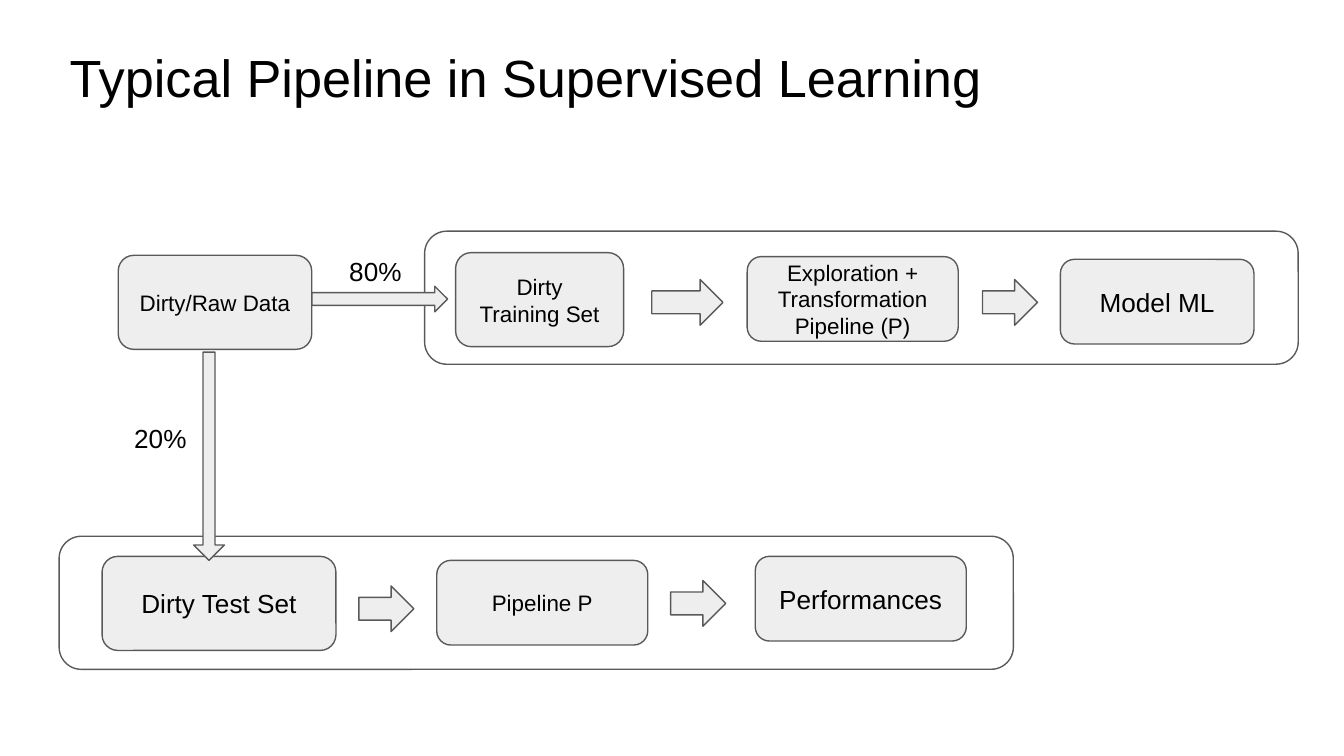
import pptx
import pptx.util
import pptx.dml.color
import pptx.enum.shapes
import pptx.enum.text

COLORS = {"fill": "EEEEEE", "line": "595959", "text": "000000"}
COLS, ROWS = 100, 56.25
SHAPES = pptx.enum.shapes.MSO_SHAPE
ALIGN = pptx.enum.text.PP_ALIGN
ANCHOR = pptx.enum.text.MSO_ANCHOR

prs = pptx.Presentation()
prs.slide_width = pptx.util.Inches(10)
prs.slide_height = prs.slide_width * 9 // 16
CELL_W = prs.slide_width / COLS
CELL_H = prs.slide_height / ROWS


def rgb(name):
    return pptx.dml.color.RGBColor.from_string(COLORS[name])


def emu(box):
    x, y, w, h = box
    return [round(v) for v in (x * CELL_W, y * CELL_H, w * CELL_W, h * CELL_H)]


def within(box, part):
    return (box[0] + part[0], box[1] + part[1], *part[2:])


def write(sp, text, size=14, align=ALIGN.LEFT, anchor=ANCHOR.TOP):
    tf = sp.text_frame
    tf.word_wrap = True
    tf.vertical_anchor = anchor
    tf.margin_left = tf.margin_right = pptx.util.Inches(0.1)
    tf.margin_top = tf.margin_bottom = pptx.util.Inches(0.1)
    p = tf.paragraphs[0]
    p.text = text
    p.alignment = align
    for r in p.runs:
        r.font.name = "Arial"
        r.font.size = pptx.util.Pt(size)
        r.font.color.rgb = rgb("text")


def add_label(s, box, text, **fmt):
    write(s.shapes.add_textbox(*emu(box)), text, **fmt)


def add_outline(s, kind, box, filled=True):
    sp = s.shapes.add_shape(kind, *emu(box))
    sp.shadow.inherit = False
    if filled:
        sp.fill.solid()
        sp.fill.fore_color.rgb = rgb("fill")
    else:
        sp.fill.background()
    sp.line.color.rgb = rgb("line")
    sp.line.width = pptx.util.Pt(0.75)
    return sp


def add_step(s, box, text, size):
    sp = add_outline(s, SHAPES.ROUNDED_RECTANGLE, box)
    write(sp, text, size=size, align=ALIGN.CENTER, anchor=ANCHOR.MIDDLE)


def add_arrow(s, box, shaft=0.5, rotation=0):
    sp = add_outline(s, SHAPES.RIGHT_ARROW, box)
    sp.adjustments[0] = shaft
    sp.rotation = rotation


def add_stage(s, box, steps, arrows):
    add_outline(s, SHAPES.ROUNDED_RECTANGLE, box, filled=False)
    for part, text, size in steps:
        add_step(s, within(box, part), text, size)
    for part in arrows:
        add_arrow(s, within(box, part))


def add_split(s, box):
    add_arrow(s, within(box, (-1, 13.8, 15.5, 2.3)), shaft=0.39, rotation=90)
    add_step(s, box, "Dirty/Raw Data", 12)
    add_arrow(s, within(box, (box[2], 2.3, 10.1, 1.9)))
    add_label(s, within(box, (0.2, 11.4, 6.5, 3.4)), "20%")
    add_label(s, within(box, (16.2, -1, 6.5, 4.5)), "80%")


def build_slide():
    s = prs.slides.add_slide(prs.slide_layouts[6])
    add_label(s, (4.2, 2.4, 93.2, 6.3),
              "Typical Pipeline in Supervised Learning", size=28)
    add_stage(
        s, (31.6, 17.2, 65, 9.9),
        steps=[
            ((2.3, 1.6, 12.5, 7), "Dirty\nTraining Set", 12),
            ((24, 1.9, 15.7, 6.3), "Exploration + Transformation Pipeline (P)", 12),
            ((47.3, 2.1, 14.4, 6.3), "Model ML", 14),
        ],
        arrows=[(16.9, 3.6, 5.3, 3.4), (41.5, 3.6, 4.1, 3.4)])
    add_stage(
        s, (4.4, 39.9, 71, 9.9),
        steps=[
            ((3.2, 1.5, 17.4, 7), "Dirty Test Set", 14),
            ((28.1, 1.8, 15.7, 6.3), "Pipeline P", 12),
            ((51.8, 1.5, 15.7, 6.3), "Performances", 14),
        ],
        arrows=[(22.3, 3.7, 4.1, 3.4), (45.5, 3.3, 4.1, 3.4)])
    add_split(s, (8.8, 19, 14.4, 7))


build_slide()
prs.save("out.pptx")
